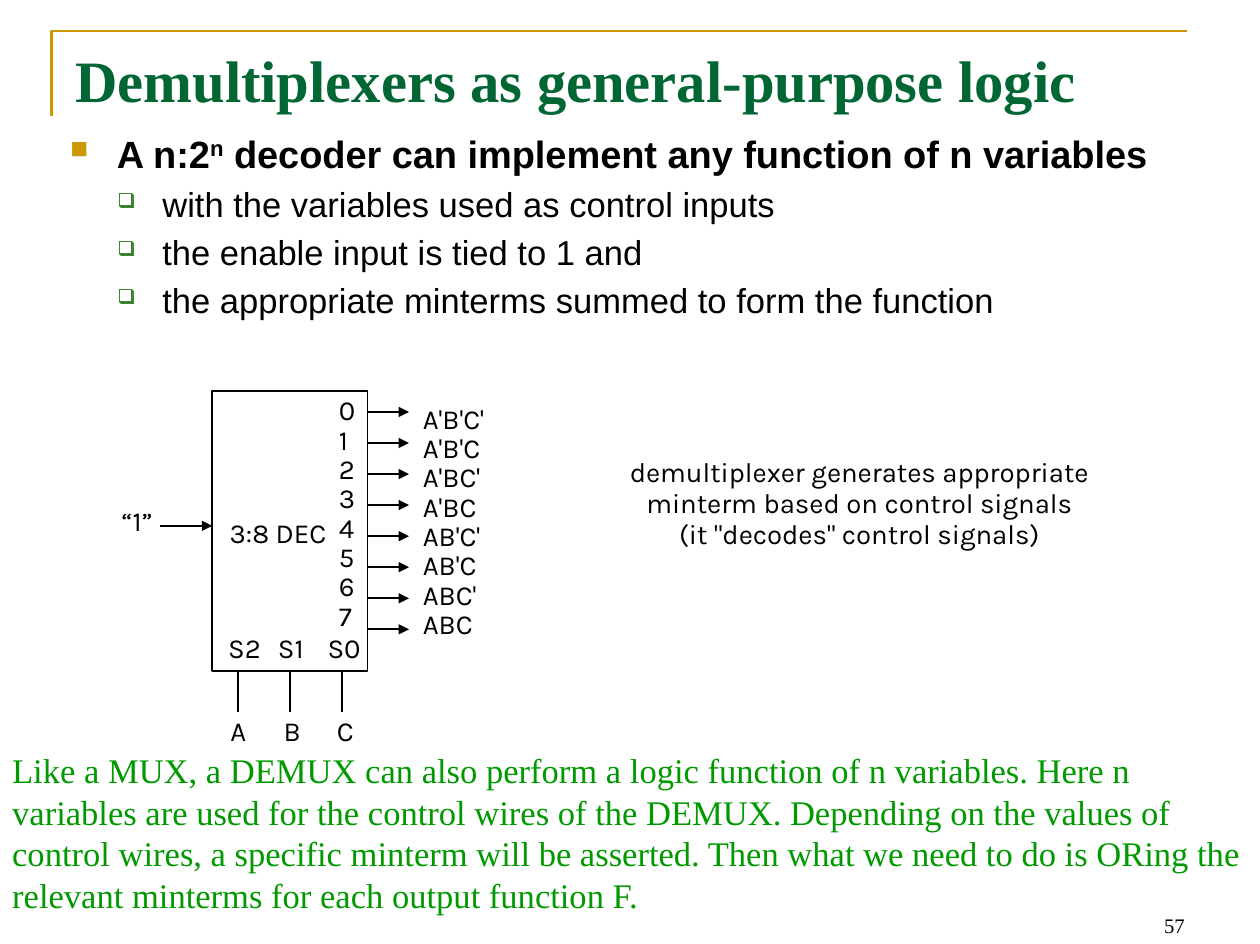
from dataclasses import dataclass

import pptx
import pptx.dml.color
import pptx.enum.shapes
import pptx.enum.text
import pptx.oxml
import pptx.oxml.ns
import pptx.util
from lxml import etree

RGBColor = pptx.dml.color.RGBColor
ALIGN = pptx.enum.text.PP_ALIGN
BLACK = RGBColor(0x00, 0x00, 0x00)
GOLD = RGBColor(0xCC, 0x99, 0x00)
TITLE_GREEN = RGBColor(0x00, 0x66, 0x33)
BULLET_GREEN = RGBColor(0x3B, 0x81, 0x2F)
REMARK_GREEN = RGBColor(0x00, 0x99, 0x00)

SLIDE_WIDTH, SLIDE_HEIGHT = 10.14, 7.6
CELL = 1 / 12  # grid cell in inches; all places below are columns and rows
SLIDE_COLUMNS = SLIDE_WIDTH / CELL

# Decoder block and its pins
DEC_LEFT, DEC_TOP, DEC_COLUMNS, DEC_ROWS = 20.5, 37.8, 15, 27
DEC_RIGHT, DEC_BOTTOM = DEC_LEFT + DEC_COLUMNS, DEC_TOP + DEC_ROWS
MINTERMS = ["A'B'C'", "A'B'C", "A'BC'", "A'BC", "AB'C'", "AB'C", "ABC'", "ABC"]
OUTPUT_GAP, SELECT_GAP, PIN_LENGTH = 3, 5, 4


@dataclass
class Style:
    font: str
    size: float
    color: RGBColor = BLACK
    bold: bool = False
    align: ALIGN = ALIGN.LEFT
    line_pt: float | None = None
    after_pt: float = 0


@dataclass
class Label:
    text: str
    left: float
    top: float
    columns: float
    rows: float
    style: Style
    tight: bool = True
    anchor: pptx.enum.text.MSO_ANCHOR = pptx.enum.text.MSO_ANCHOR.TOP


@dataclass
class Point:
    phrases: list[tuple[str, bool]]  # text, superscript
    level: int


@dataclass
class Bullet:
    char: str
    color: RGBColor
    percent: int
    margin: float
    hanging: float
    style: Style


TITLE = Style("Times New Roman", 34, TITLE_GREEN, bold=True)
REMARK = Style("Times New Roman", 20, REMARK_GREEN)
NUMBER = Style("Times New Roman", 12, align=ALIGN.RIGHT)
NOTE = Style("Karla", 16, align=ALIGN.CENTER, line_pt=18)
MINTERM = Style("Karla", 16, line_pt=17)
PIN = Style("Karla", 16, line_pt=17, after_pt=20)
DEC_NAME = Style("Karla", 16, align=ALIGN.CENTER, line_pt=17, after_pt=20)

BULLETS = [
    Bullet("■", GOLD, 65, 4.5, 4.5, Style("Arial", 22, bold=True)),
    Bullet("❑", BULLET_GREEN, 60, 8.9, 4.35, Style("Arial", 20)),
]
POINTS = [
    Point([("A n:2", False), ("n", True),
           (" decoder can implement any function of n variables", False)], 0),
    Point([("with the variables used as control inputs", False)], 1),
    Point([("the enable input is tied to 1 and", False)], 1),
    Point([("the appropriate minterms summed to form the function", False)], 1),
]
LABELS = [
    Label("57", 87.2, 85.1, 28.4, 6.1, NUMBER, False, pptx.enum.text.MSO_ANCHOR.BOTTOM),
    Label("demultiplexer generates appropriate\n"
          "minterm based on control signals\n"
          '(it "decodes" control signals)', 56.5, 43.8, 53, 11, NOTE),
    Label("Demultiplexers as general-purpose logic", 6.1, 3.7, 109.4, 15.1, TITLE, False),
    Label("\v".join(MINTERMS), 40.6, 38.8, 7.8, 26.2, MINTERM),
    Label("\v".join(str(i) for i in range(len(MINTERMS))), 32.5, 38, 2.2, 27.7, PIN),
    Label("3:8 DEC", 19.4, 49.8, 14.9, 7.8, DEC_NAME),
    Label("“1”", 11.5, 48.7, 7, 7.8, PIN),
    *(Label(name, 21.8 + 4.8 * i, 61, 8.5, 7.8, PIN)
      for i, name in enumerate(["S2", "S1", "S0"])),
    *(Label(name, 22 + 5.15 * i, 69, 7.3, 3.7, PIN) for i, name in enumerate("ABC")),
    Label("Like a MUX, a DEMUX can also perform a logic function of n variables. "
          "Here n variables are used for the control wires of the DEMUX. Depending on "
          "the values of control wires, a specific minterm will be asserted. Then what "
          "we need to do is ORing the relevant minterms for each output function F.",
          0, 71.8, SLIDE_COLUMNS, 17.2, REMARK, False),
]


def cells(count: float) -> pptx.util.Emu:
    return pptx.util.Inches(count * CELL)


def format_paragraph(paragraph, style: Style) -> None:
    paragraph.alignment = style.align
    paragraph.space_after = pptx.util.Pt(style.after_pt)
    if style.line_pt:
        paragraph.line_spacing = pptx.util.Pt(style.line_pt)
    for run in paragraph.runs:
        run.font.name = style.font
        run.font.size = pptx.util.Pt(style.size)
        run.font.bold = style.bold
        run.font.color.rgb = style.color


def add_label(slide, label: Label) -> None:
    frame = slide.shapes.add_textbox(cells(label.left), cells(label.top),
                                     cells(label.columns), cells(label.rows)).text_frame
    frame.word_wrap = not label.tight
    frame.vertical_anchor = label.anchor
    if label.tight:
        frame.margin_left = frame.margin_right = pptx.util.Inches(0.02)
        frame.margin_top = frame.margin_bottom = pptx.util.Inches(0.03)
    frame.text = label.text
    for paragraph in frame.paragraphs:
        format_paragraph(paragraph, label.style)


def add_bullet(paragraph, bullet: Bullet) -> None:
    properties = paragraph._p.get_or_add_pPr()
    properties.set("marL", str(cells(bullet.margin)))
    properties.set("indent", str(-cells(bullet.hanging)))
    qn = pptx.oxml.ns.qn
    color = etree.SubElement(properties, qn("a:buClr"))
    etree.SubElement(color, qn("a:srgbClr"), val=str(bullet.color))
    etree.SubElement(properties, qn("a:buSzPct"), val=str(bullet.percent * 1000))
    etree.SubElement(properties, qn("a:buChar"), char=bullet.char)


def add_points(slide) -> None:
    frame = slide.shapes.add_textbox(cells(5.6), cells(12), cells(109.4), cells(60)).text_frame
    frame.word_wrap = True
    for i, point in enumerate(POINTS):
        paragraph = frame.add_paragraph() if i else frame.paragraphs[0]
        bullet = BULLETS[point.level]
        paragraph.level = point.level
        add_bullet(paragraph, bullet)
        for text, superscript in point.phrases:
            run = paragraph.add_run()
            run.text = text
            if superscript:
                run._r.get_or_add_rPr().set("baseline", "30000")
        format_paragraph(paragraph, bullet.style)
        if i:
            paragraph.space_before = pptx.util.Pt(0.2 * bullet.style.size)


def add_wire(slide, x1: float, y1: float, x2: float, y2: float, arrow: bool = True):
    wire = slide.shapes.add_connector(pptx.enum.shapes.MSO_CONNECTOR.STRAIGHT,
                                      cells(x1), cells(y1), cells(x2), cells(y2))
    wire.line.color.rgb = BLACK
    wire.line.width = pptx.util.Pt(1)
    if arrow:
        etree.SubElement(wire.line._get_or_add_ln(), pptx.oxml.ns.qn("a:tailEnd"),
                         type="triangle")
    etree.SubElement(wire._element.spPr, pptx.oxml.ns.qn("a:effectLst"))
    return wire


def add_decoder(slide) -> None:
    decoder = slide.shapes.add_shape(pptx.enum.shapes.MSO_SHAPE.RECTANGLE,
                                     cells(DEC_LEFT), cells(DEC_TOP),
                                     cells(DEC_COLUMNS), cells(DEC_ROWS))
    decoder.shadow.inherit = False
    decoder.fill.background()
    decoder.line.color.rgb = BLACK
    decoder.line.width = pptx.util.Pt(1)
    # Enable input, minterm outputs, select inputs
    add_wire(slide, DEC_LEFT - 5, DEC_TOP + 13, DEC_LEFT, DEC_TOP + 13)
    for i in range(len(MINTERMS)):
        row = DEC_TOP + 2 + OUTPUT_GAP * i
        add_wire(slide, DEC_RIGHT, row, DEC_RIGHT + PIN_LENGTH, row)
    for i in (-1, 0, 1):
        column = DEC_LEFT + DEC_COLUMNS / 2 + SELECT_GAP * i
        select = add_wire(slide, column, DEC_BOTTOM, column, DEC_BOTTOM + PIN_LENGTH, False)
        if i == 0:
            select.begin_connect(decoder, 2)


def add_title_rule(slide) -> None:
    builder = slide.shapes.build_freeform(cells(5), cells(11.2))
    builder.add_line_segments([(cells(5), cells(3)), (cells(114.6), cells(3))], close=False)
    rule = builder.convert_to_shape()
    rule.shadow.inherit = False
    rule.fill.background()
    rule.line.color.rgb = GOLD
    rule.line.width = pptx.util.Pt(1.5)


def main() -> None:
    deck = pptx.Presentation()
    deck.slide_width = pptx.util.Inches(SLIDE_WIDTH)
    deck.slide_height = pptx.util.Inches(SLIDE_HEIGHT)
    slide = deck.slides.add_slide(deck.slide_layouts[6])
    add_title_rule(slide)
    add_points(slide)
    add_decoder(slide)
    for label in LABELS:
        add_label(slide, label)
    deck.save("out.pptx")


if __name__ == "__main__":
    main()
